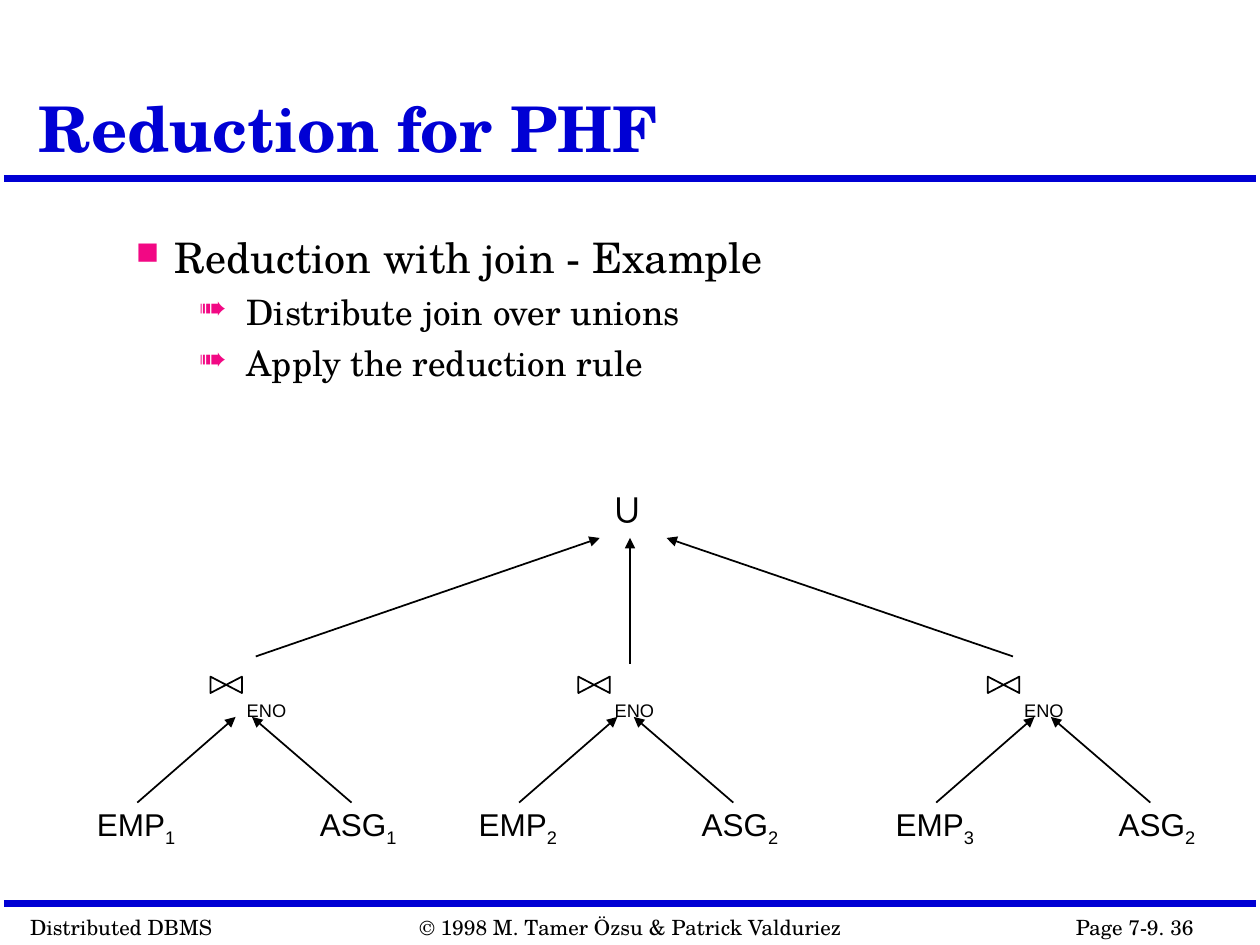
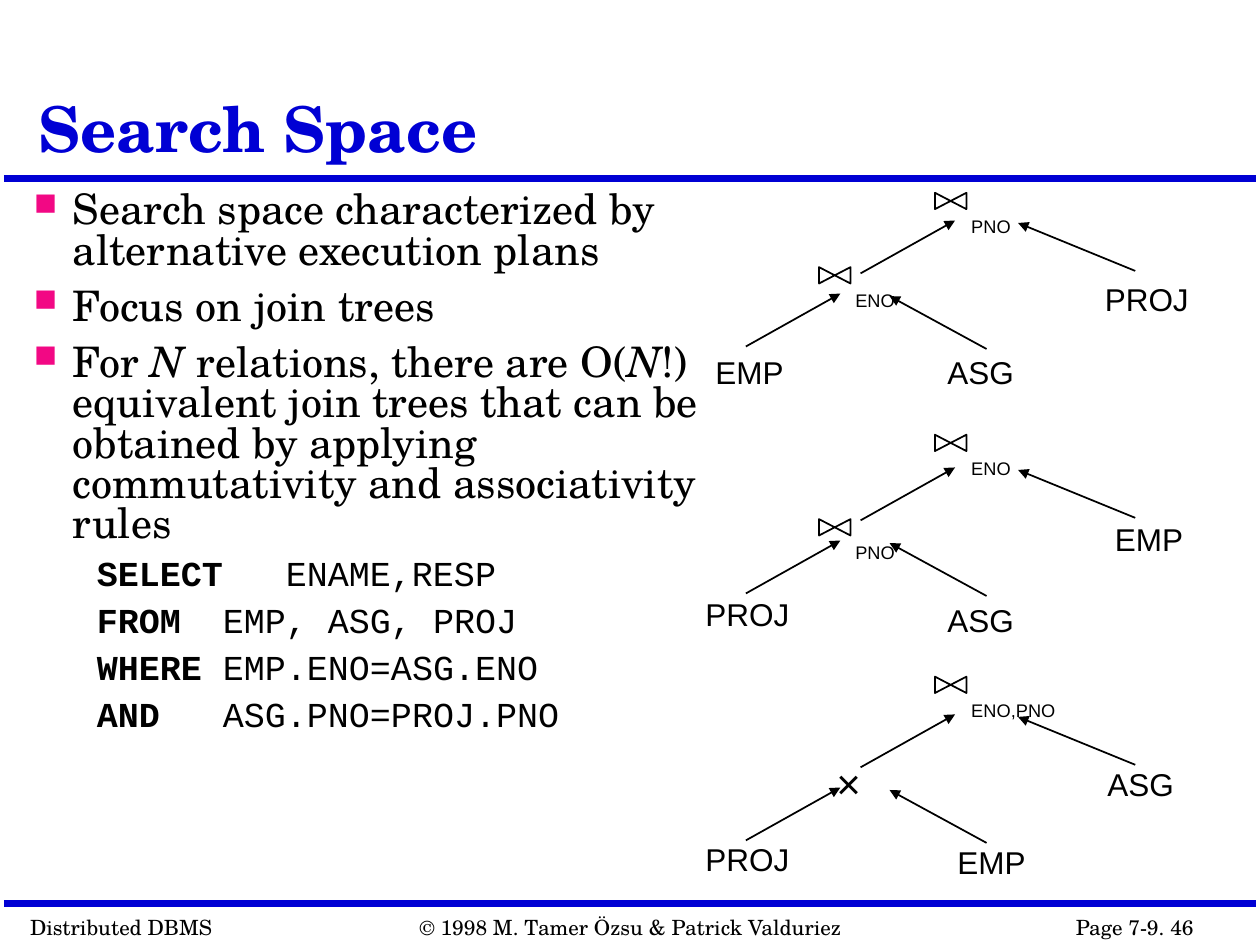
"""Build two lecture slides on join reduction and the join-tree search space."""
from lxml import etree
from pptx import Presentation
from pptx import util as u
from pptx.dml.color import RGBColor
from pptx.enum import shapes, text
from pptx.oxml import ns

BLUE = RGBColor(0x00, 0x00, 0xD4)
BLACK = RGBColor(0x00, 0x00, 0x00)
PINK = "F20884"
SERIF, SANS, MONO = "TeX Gyre Schola", "Arial", "Courier New"
WIDTH, HEIGHT = 10, 7.5

FOOTERS = [(0.14, 1.65, "Distributed DBMS"), (8.44, 1.76, "Page 7-9. {page}"),
           (3.23, 3.57, "© 1998 M. Tamer Özsu & Patrick Valduriez")]
RULE_ROWS = (1.42, 7.17)
TITLE_BOX = (0.21, 0.12, 7.83, 1.25)

ITALIC, BOLD = {"italic": True}, {"bold": True}
STYLES = {
    "point": dict(level=0, indent=(0.31, -0.31), before=9, size=24, name=SERIF, bullet=("■", 75)),
    "step": dict(level=1, indent=(0.88, -0.38), before=7.5, size=20, name=SERIF, bullet=("➠", 95)),
    "code": dict(level=1, indent=(0.5, 0), before=7.5, size=20, name=MONO, bullet=None),
}

REDUCTION = {
    "title": "Reduction for PHF", "page": 36, "box": (0.98, 1.83, 7.83, 4.5), "spacing": 0.9,
    "body": [("point", [("Reduction with join - Example", {})]),
             ("step", [("Distribute join over unions", {})]),
             ("step", [("Apply the reduction rule", {})])],
}
SEARCH = {
    "title": "Search Space", "page": 46, "box": (0.17, 1.48, 5.58, 4.54), "spacing": 0.8,
    "body": [("point", [("Search space characterized by alternative execution plans", {})]),
             ("point", [("Focus on join trees", {})]),
             ("point", [("For ", {}), ("N", ITALIC), (" relations, there are O(", {}), ("N", ITALIC),
                        ("!) equivalent join trees that can be obtained by applying "
                         "commutativity and associativity rules", {})])]
            + [("code", [(keyword + "\t", BOLD), (clause, {})]) for keyword, clause in (
                ("SELECT", "ENAME,RESP"), ("FROM", "EMP, ASG, PROJ"),
                ("WHERE", "EMP.ENO=ASG.ENO"), ("AND", "ASG.PNO=PROJ.PNO"))],
}

LABEL_WIDTHS = {"EMP": 0.74, "ASG": 0.73, "PROJ": 0.87}
JOIN_WIDTHS = {"ENO": 0.56, "PNO": 0.56, "ENO,PNO": 0.98}

FRAGMENTS = [(0.67, 1.73, "1", "1"), (3.7, 4.65, "2", "2"), (7.01, 7.9, "3", "2")]
FRAGMENT_ARROWS = [(0.42, 6.37, 1.2, 5.69), (2.12, 6.37, 1.33, 5.69)]
UNION_ARROWS = [(2.03, 5.21, 4.76, 4.27), (8.04, 5.21, 5.29, 4.27), (5, 5.27, 5, 4.27)]

TREE_STEP, ROOT_STEP = 1.96, 1.92
TREE_ARROWS = [(6.83, 2.17, 7.58, 1.75), (7.83, 2.77, 7.06, 2.35),
               (9.01, 2.15, 8.08, 1.77), (5.92, 2.75, 6.67, 2.33)]
TREES = [
    {"root": "PNO", "inner": ("ENO", 2.06),
     "leaves": [("EMP", 5.58, 2.75), ("ASG", 7.42, 2.75), ("PROJ", 8.67, 2.17)]},
    {"root": "ENO", "inner": ("PNO", 4.06),
     "leaves": [("PROJ", 5.5, 4.67), ("ASG", 7.42, 4.72), ("EMP", 8.75, 4.08)]},
    {"root": "ENO,PNO", "inner": ("×", 5.96),
     "leaves": [("PROJ", 5.5, 6.62), ("EMP", 7.5, 6.64), ("ASG", 8.69, 6.02)]},
]


def inches(values):
    return [u.Inches(value) for value in values]


def add_run(paragraph, words, **formats):
    run = paragraph.add_run()
    run.text = words
    baseline = formats.pop("baseline", None)
    run.font.color.rgb = formats.pop("color", BLACK)
    formats["size"] = u.Pt(formats["size"])
    for key, value in formats.items():
        setattr(run.font, key, value)
    if baseline:
        run._r.get_or_add_rPr().set("baseline", str(baseline))


def add_box(holder, box, wrap=True, fit=text.MSO_AUTO_SIZE.NONE):
    frame = holder.add_textbox(*inches(box)).text_frame
    frame.word_wrap, frame.auto_size = wrap, fit
    return frame


def add_label(holder, box, runs, wrap=False):
    frame = add_box(holder, box, wrap, text.MSO_AUTO_SIZE.SHAPE_TO_FIT_TEXT)
    for words, formats in runs:
        add_run(frame.paragraphs[0], words, **formats)


def add_line(slide, ends, color=BLACK, width=1, arrow=True):
    line = slide.shapes.add_connector(shapes.MSO_CONNECTOR.STRAIGHT, *inches(ends))
    line.line.color.rgb, line.line.width = color, u.Pt(width)
    if arrow:
        etree.SubElement(line.line._get_or_add_ln(), ns.qn("a:tailEnd"), type="triangle")
    etree.SubElement(line._element.spPr, ns.qn("a:effectLst"))


def add_relation(slide, name, left, top, number=""):
    runs = [(name, dict(size=18, name=SANS))]
    if number:
        runs.append((number, dict(size=18, name=SANS, baseline=-25000)))
    width = LABEL_WIDTHS[name] + 0.08 * len(number)
    add_label(slide.shapes, (left, top, width, 0.44 if number else 0.4), runs)


def add_operator(slide, sign, left, top, wrap):
    add_label(slide.shapes, (left, top, 0.47, 0.5), [(sign, dict(size=24, name=SANS))], wrap)


def add_join(slide, attribute, left, top):
    members = slide.shapes.add_group_shape().shapes
    add_label(members, (left + 0.13, top + 0.02, JOIN_WIDTHS[attribute], 0.44),
              [(attribute, dict(size=18, name=SANS, baseline=-25000))], True)
    bowtie = members.add_shape(shapes.MSO_SHAPE.FLOWCHART_COLLATE, *inches((left, top, 0.13, 0.25)))
    bowtie.rotation = 270
    bowtie.shadow.inherit = False
    bowtie.fill.background()
    bowtie.line.color.rgb, bowtie.line.width = BLACK, u.Pt(1)


def add_body(slide, content):
    frame = add_box(slide.shapes, content["box"])
    for index, (kind, runs) in enumerate(content["body"]):
        style = STYLES[kind]
        paragraph = frame.add_paragraph() if index else frame.paragraphs[0]
        paragraph.level = style["level"]
        properties = paragraph._p.get_or_add_pPr()
        for key, value in zip(("marL", "indent"), inches(style["indent"])):
            properties.set(key, str(value))
        if style["bullet"]:
            sign, percent = style["bullet"]
            color = etree.SubElement(properties, ns.qn("a:buClr"))
            etree.SubElement(color, ns.qn("a:srgbClr"), val=PINK)
            etree.SubElement(properties, ns.qn("a:buSzPct"), val=str(percent * 1000))
            etree.SubElement(properties, ns.qn("a:buChar"), char=sign)
        else:
            etree.SubElement(properties, ns.qn("a:buNone"))
        tabs = etree.SubElement(properties, ns.qn("a:tabLst"))
        for column in range(1, 9):
            etree.SubElement(tabs, ns.qn("a:tab"), pos=str(u.Inches(column)), algn="l")
        paragraph.line_spacing = content["spacing"]
        paragraph.space_before = u.Pt(style["before"] if index else 0)
        for words, formats in runs:
            add_run(paragraph, words, size=style["size"], name=style["name"], **formats)


def add_slide(presentation, content):
    slide = presentation.slides.add_slide(presentation.slide_layouts[6])
    for row in RULE_ROWS:
        add_line(slide, (0.03, row, WIDTH - 0.03, row), BLUE, 4, False)
    for left, width, words in FOOTERS:
        add_label(slide.shapes, (left, 7.21, width, 0.3),
                  [(words.format(page=content["page"]), dict(size=12, name=SERIF))])
    title = add_box(slide.shapes, TITLE_BOX)
    title.vertical_anchor = text.MSO_ANCHOR.BOTTOM
    title.paragraphs[0].line_spacing = 0.9
    add_run(title.paragraphs[0], content["title"], size=36, name=SERIF, bold=True, color=BLUE)
    add_body(slide, content)
    return slide


def draw_union(slide):
    add_operator(slide, "∪", 4.76, 3.77, True)
    for ends in UNION_ARROWS:
        add_line(slide, ends)
    for left, join_left, employee, assignment in FRAGMENTS:
        add_relation(slide, "EMP", left, 6.34, employee)
        add_relation(slide, "ASG", left + 1.77, 6.34, assignment)
        for x1, y1, x2, y2 in FRAGMENT_ARROWS:
            add_line(slide, (left + x1, y1, left + x2, y2))
        add_join(slide, "ENO", join_left, 5.31)


def draw_join_trees(slide):
    for index, tree in enumerate(TREES):
        drop = index * TREE_STEP
        for leaf in tree["leaves"]:
            add_relation(slide, *leaf)
        for x1, y1, x2, y2 in TREE_ARROWS:
            add_line(slide, (x1, y1 + drop, x2, y2 + drop))
        add_join(slide, tree["root"], 7.48, 1.47 + index * ROOT_STEP)
        sign, top = tree["inner"]
        if sign in JOIN_WIDTHS:
            add_join(slide, sign, 6.56, top)
        else:
            add_operator(slide, sign, 6.54, top, False)


def main():
    presentation = Presentation()
    presentation.slide_width, presentation.slide_height = inches((WIDTH, HEIGHT))
    draw_union(add_slide(presentation, REDUCTION))
    draw_join_trees(add_slide(presentation, SEARCH))
    presentation.save("out.pptx")


if __name__ == "__main__":
    main()
